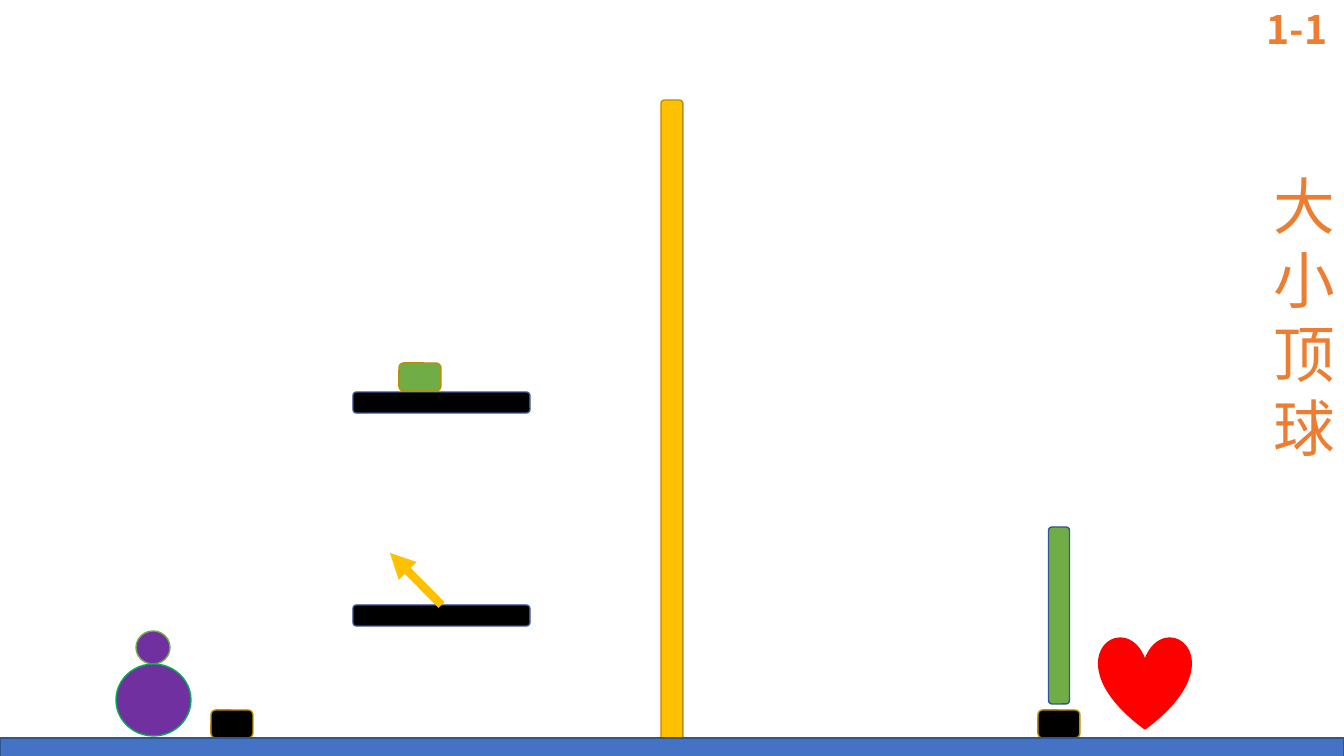
from lxml import etree
from pptx import Presentation
from pptx.dml.color import RGBColor
from pptx.enum.shapes import MSO_CONNECTOR, MSO_SHAPE
from pptx.enum.text import MSO_ANCHOR, MSO_AUTO_SIZE, PP_ALIGN
from pptx.oxml.ns import qn
from pptx.util import Emu, Pt

ELLIPSE, HEART = MSO_SHAPE.OVAL, MSO_SHAPE.HEART
ROUNDED, RECTANGLE = MSO_SHAPE.ROUNDED_RECTANGLE, MSO_SHAPE.RECTANGLE
STRAIGHT = MSO_CONNECTOR.STRAIGHT
TOP, LEFT, NO_AUTOSIZE = MSO_ANCHOR.TOP, PP_ALIGN.LEFT, MSO_AUTO_SIZE.NONE

PAGE_WIDTH, PAGE_HEIGHT = 1344, 756
EMU_PER_PX = 12192000 / PAGE_WIDTH
FONT = "Noto Sans CJK JP"
BLACK, GREEN, GOLD, PURPLE = "000000", "70AD47", "FFC000", "7030A0"
RED, BLUE, ORANGE = "FF0000", "4472C4", "ED7D31"
DARK_GOLD, DARK_BLUE, EMERALD = "BD8E00", "325491", "00B050"

GROUND_TOP = 738
PLATFORM_SIZE = (177, 21)
BLOCK_SIZE = (42, 28)


def px(length):
    return Emu(round(length * EMU_PER_PX))


def color(value):
    return RGBColor.from_string(value)


def add_piece(shapes, kind, box, fill, line):
    piece = shapes.add_shape(kind, *map(px, box))
    piece.shadow.inherit = False
    piece.fill.solid()
    piece.fill.fore_color.rgb = color(fill)
    piece.line.color.rgb = color(line)
    piece.line.width = Pt(1)
    return piece


def write_text(shape, box, text, size, bold):
    shape.left, shape.top, shape.width, shape.height = map(px, box)
    frame = shape.text_frame
    frame.auto_size = NO_AUTOSIZE
    frame.word_wrap = True
    frame.vertical_anchor = TOP
    para = frame.paragraphs[0]
    para.alignment = LEFT
    para.line_spacing = 1.0
    run = para.add_run()
    run.text = text
    run.font.name = FONT
    run.font.size = Pt(size)
    run.font.bold = bold
    run.font.color.rgb = color(ORANGE)
    # East Asian typeface for the Chinese characters
    east_asian = etree.SubElement(run.font._element, qn("a:ea"))
    east_asian.set("typeface", FONT)


def add_player(page, box):
    left, top, width, height = box
    player = page.shapes.add_group_shape()
    add_piece(player.shapes, ELLIPSE, (left + 20, top, 34, 33), PURPLE, GREEN)
    add_piece(player.shapes, ELLIPSE, (left, top + height - 72, width, 72),
              PURPLE, EMERALD)


def add_platforms(page, box):
    left, top, width, height = box
    thickness = PLATFORM_SIZE[1]
    upper, lower = [
        add_piece(page.shapes, ROUNDED, (left, y, width, thickness), BLACK, DARK_BLUE)
        for y in (top, top + height - thickness)
    ]
    block_width, block_height = BLOCK_SIZE
    add_piece(page.shapes, ROUNDED,
              (left + 46, top - block_height - 1, block_width, block_height),
              GREEN, DARK_GOLD)

    # Launch arrow from the lower platform
    arrow = page.shapes.add_connector(STRAIGHT, lower.left + lower.width // 2, lower.top,
                                      px(left + 37), px(top + 161))
    arrow.begin_connect(lower, 0)
    arrow.line.color.rgb = color(GOLD)
    arrow.line.width = Pt(6)
    etree.SubElement(arrow.line._get_or_add_ln(), qn("a:tailEnd")).set("type", "triangle")
    etree.SubElement(arrow._element.spPr, qn("a:effectLst"))


def add_goal(page, box):
    left, top, width, height = box
    # Upright bar: a platform turned about its centre
    length, thickness = PLATFORM_SIZE
    bar = add_piece(page.shapes, ROUNDED,
                    (left + 21 - length / 2, top + (length - thickness) / 2,
                     length, thickness), GREEN, DARK_BLUE)
    bar.rotation = 90
    block_width, block_height = BLOCK_SIZE
    add_piece(page.shapes, ROUNDED,
              (left, top + height - block_height, block_width, block_height),
              BLACK, DARK_GOLD)
    add_piece(page.shapes, HEART, (left + width - 92, top + 110, 92, 92), RED, RED)


def add_field(page, box):
    left, top, width, height = box
    # Start block, middle wall and ground
    add_piece(page.shapes, ROUNDED, (left + 211, top - 28, *BLOCK_SIZE),
              BLACK, DARK_GOLD)
    add_piece(page.shapes, ROUNDED, (left + width / 2 - 11, top - 638, 22, 641),
              GOLD, DARK_GOLD)
    add_piece(page.shapes, RECTANGLE, box, BLUE, DARK_BLUE)


def add_headings(page, box):
    left, top, width, height = box
    write_text(page.shapes.title, (left + 6, top + 163, 72, height - 163),
               "大小顶球", 44, False)
    level = page.shapes.add_textbox(0, 0, 0, 0)
    write_text(level, (left, top, width, 57), "1-1", 28, True)


def main():
    deck = Presentation()
    deck.slide_width, deck.slide_height = px(PAGE_WIDTH), px(PAGE_HEIGHT)
    page = deck.slides.add_slide(deck.slide_layouts[5])
    add_player(page, (116, 631, 75, 105))
    add_platforms(page, (353, 392, PLATFORM_SIZE[0], 234))
    add_goal(page, (1038, 527, 153, 211))
    add_field(page, (0, GROUND_TOP, PAGE_WIDTH, 40))
    add_headings(page, (1257, 0, 87, 364))
    deck.save("out.pptx")


if __name__ == "__main__":
    main()
